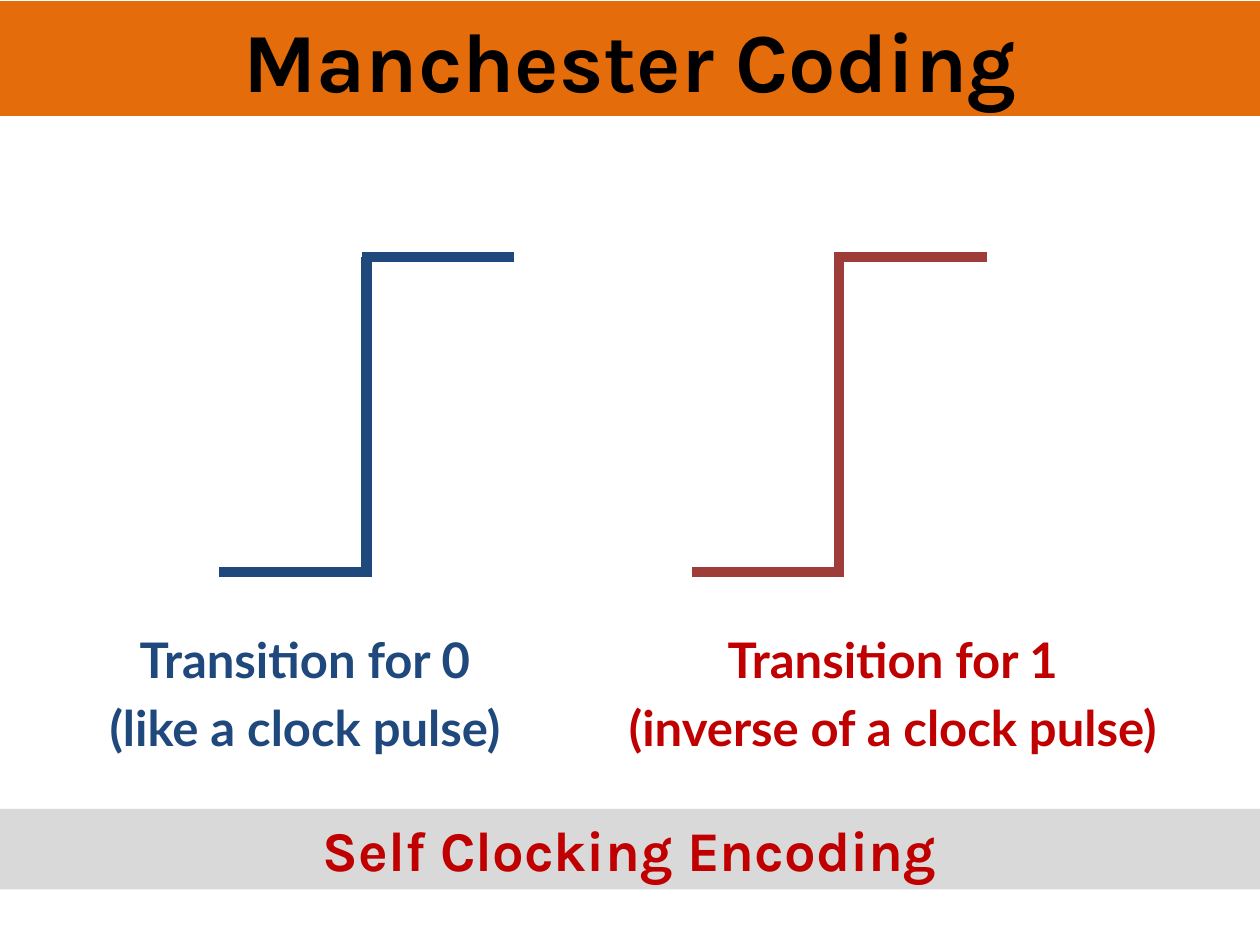
from lxml import etree
from pptx import Presentation
from pptx.dml.color import RGBColor
from pptx.enum.shapes import MSO_CONNECTOR, MSO_SHAPE
from pptx.enum.text import MSO_ANCHOR, MSO_AUTO_SIZE, PP_ALIGN
from pptx.oxml.ns import qn
from pptx.util import Inches, Pt

STRAIGHT = MSO_CONNECTOR.STRAIGHT
RECTANGLE = MSO_SHAPE.RECTANGLE
CENTER = PP_ALIGN.CENTER
MIDDLE = MSO_ANCHOR.MIDDLE
NO_AUTOSIZE = MSO_AUTO_SIZE.NONE

ORANGE = RGBColor(0xE4, 0x6C, 0x0A)
BLACK = RGBColor(0x00, 0x00, 0x00)
NAVY = RGBColor(0x1F, 0x49, 0x7D)
BRICK = RGBColor(0x9E, 0x3C, 0x39)
RED = RGBColor(0xC0, 0x00, 0x00)
GRAY = RGBColor(0xD9, 0xD9, 0xD9)

presentation = Presentation()
presentation.slide_width = Inches(10)
presentation.slide_height = Inches(7.5)
slide = presentation.slides.add_slide(presentation.slide_layouts[5])

# Grid of 100 columns by 75 rows
COLUMN = presentation.slide_width / 100
ROW = presentation.slide_height / 75


def place(shape, left, top, width, height):
    shape.left, shape.width = round(left * COLUMN), round(width * COLUMN)
    shape.top, shape.height = round(top * ROW), round(height * ROW)


def write(shape, text, font_name, size, color):
    text_frame = shape.text_frame
    text_frame.text = text
    text_frame.word_wrap = True
    text_frame.auto_size = NO_AUTOSIZE
    for paragraph in text_frame.paragraphs:
        paragraph.alignment = CENTER
        for run in paragraph.runs:
            run.font.name = font_name
            run.font.size = Pt(size)
            run.font.bold = True
            run.font.color.rgb = color


# Title band and closing band
title = slide.shapes.title
closing = slide.shapes.add_shape(RECTANGLE, 0, 0, 0, 0)
closing.shadow.inherit = False
for band, top, height, fill, text, size, color in (
    (title, 0.1, 9.1, ORANGE, "Manchester Coding", 48, BLACK),
    (closing, 64.2, 6.4, GRAY, "Self Clocking Encoding", 32, RED),
):
    place(band, 0, top, 100, height)
    band.fill.solid()
    band.fill.fore_color.rgb = fill
    band.line.fill.background()
    write(band, text, "Karla", size, color)
    band.text_frame.vertical_anchor = MIDDLE

# Two transitions: low level, high level, rising edge, then the caption
LOW, HIGH = 45.4, 20.4
for start, line_color, caption_left, caption_width, caption, text_color in (
    (17.4, NAVY, 6.7, 35, "Transition for 0\n(like a clock pulse)", NAVY),
    (54.9, BRICK, 46.7, 48.3, "Transition for 1\n(inverse of a clock pulse)", RED),
):
    edge = start + 11.7
    for x1, y1, x2, y2 in (
        (start, LOW, start + 12.1, LOW),
        (start + 11.3, HIGH, start + 23.4, HIGH),
        (edge, HIGH, edge, LOW),
    ):
        line = slide.shapes.add_connector(
            STRAIGHT, round(x1 * COLUMN), round(y1 * ROW),
            round(x2 * COLUMN), round(y2 * ROW))
        line.line.color.rgb = line_color
        line.line.width = Pt(6)
        etree.SubElement(line._element.spPr, qn("a:effectLst"))

    label = slide.shapes.add_textbox(0, 0, 0, 0)
    place(label, caption_left, 47.1, caption_width, 13.7)
    write(label, caption, "Lato", 28, text_color)
    first, second = label.text_frame.paragraphs
    first.line_spacing = 1.5
    second.space_before = Pt(5.6)

presentation.save("out.pptx")
